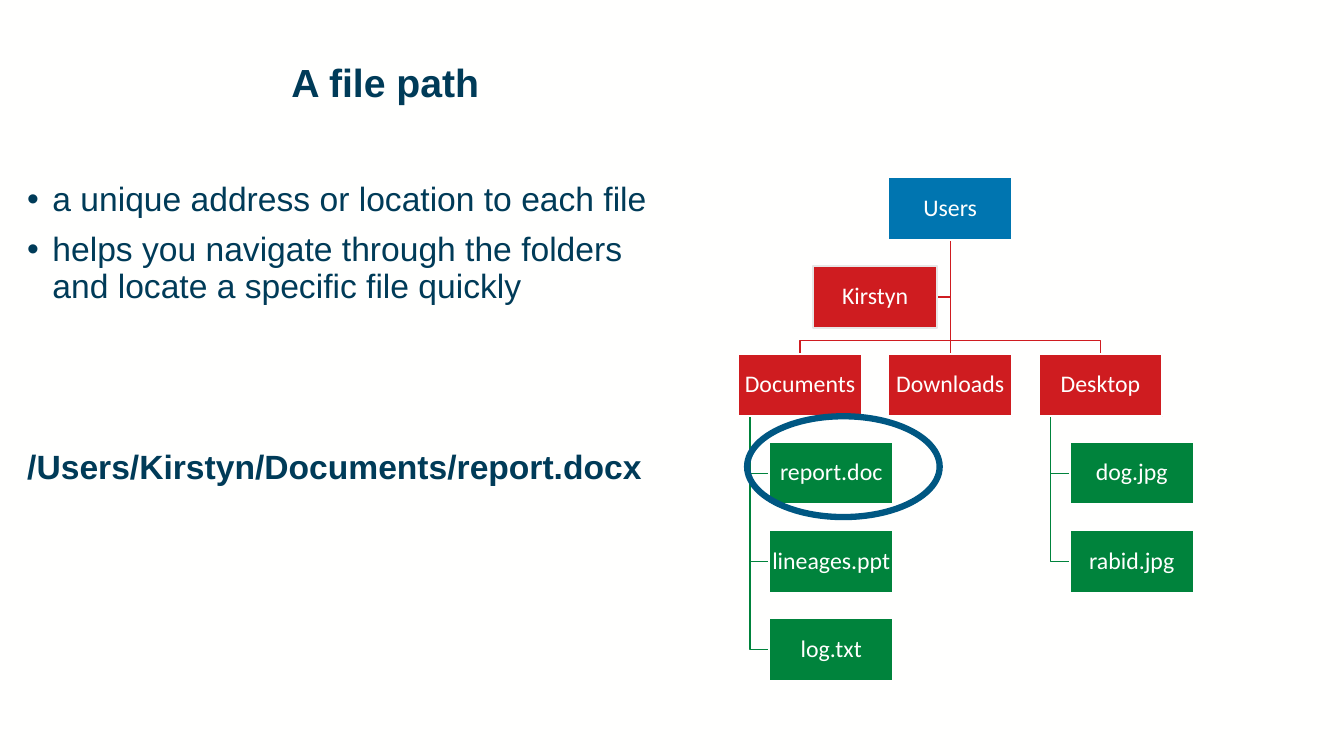
from collections import namedtuple

from lxml.etree import SubElement
from pptx import Presentation
from pptx.dml.color import RGBColor as Rgb
from pptx.enum.shapes import MSO_SHAPE as Shape
from pptx.enum.text import MSO_ANCHOR as Anchor, MSO_AUTO_SIZE as AutoSize, PP_ALIGN as Align
from pptx.oxml.ns import qn
from pptx.util import Inches, Pt

COLOURS = {
    "white": "FFFFFE", "navy": "003B58", "ring": "005782", "edge": "E7E7E7",
    "root": "0075B0", "folder": "CF1C20", "file": "00833C",
}
Box = namedtuple("Box", "left top width height")
COLUMN, ROW = 1.49, 3.5 / 4
NODE_WIDTH, NODE_HEIGHT = 1.23, 0.62
FILE_INDENT, TRUNK, BUS_GAP = 0.31, 0.12, 0.13
FOLDERS = {
    "Documents": ["report.doc", "lineages.ppt", "log.txt"],
    "Downloads": [],
    "Desktop": ["dog.jpg", "rabid.jpg"],
}
POINTS = [
    "a unique address or location to each file",
    "helps you navigate through the folders and locate a specific file quickly",
]
FILE_PATH = "/Users/Kirstyn/Documents/report.docx"


def colour(name):
    return Rgb.from_string(COLOURS[name])


def emu(lengths):
    return [Inches(length) for length in lengths]


def style(para, size, font, shade, bold=False, before=0):
    para.line_spacing = 0.9
    para.space_before = Pt(before)
    for span in para.runs:
        span.font.size = Pt(size)
        span.font.name = font
        span.font.bold = bold
        span.font.color.rgb = colour(shade)


def place(holder, box):
    holder.left, holder.top, holder.width, holder.height = emu(box)
    frame = holder.text_frame
    frame.word_wrap = True
    frame.auto_size = AutoSize.NONE
    frame.vertical_anchor = Anchor.TOP
    return frame


def add_title(page, box):
    frame = place(page.shapes.title, box)
    frame.text = "A file path"
    para = frame.paragraphs[0]
    para.alignment = Align.LEFT
    style(para, 28, "Arial", "navy", bold=True)


def add_body(page, box):
    frame = place(page.placeholders[1], box)
    frame.text = "\n".join([*POINTS, FILE_PATH])
    for para in frame.paragraphs:
        is_path = para.text == FILE_PATH
        style(para, 24, "Arial", "navy", bold=is_path, before=104 if is_path else 10)
        props = para._p.get_or_add_pPr()
        indent = 0 if is_path else Inches(0.25)
        props.set("marL", str(indent))
        props.set("indent", str(-indent))
        if is_path:
            SubElement(props, qn("a:buNone"))
        else:
            SubElement(props, qn("a:buChar")).set("char", "•")


def add_node(page, label, left, top, kind, edge="white"):
    node = page.shapes.add_shape(
        Shape.RECTANGLE, *emu(Box(left, top, NODE_WIDTH, NODE_HEIGHT)))
    node.shadow.inherit = False
    node.fill.solid()
    node.fill.fore_color.rgb = colour(kind)
    node.line.color.rgb = colour(edge)
    node.line.width = Pt(1.5)
    frame = node.text_frame
    frame.margin_left = frame.margin_right = Inches(0.01)
    frame.margin_top = frame.margin_bottom = Inches(0.01)
    frame.vertical_anchor = Anchor.MIDDLE
    frame.word_wrap = True
    frame.text = label
    frame.paragraphs[0].alignment = Align.CENTER
    style(frame.paragraphs[0], 17, "Calibri", "white")


def add_branch(page, kind, start, *corners):
    builder = page.shapes.build_freeform(*emu(start))
    builder.add_line_segments([emu(corner) for corner in corners], close=False)
    branch = builder.convert_to_shape()
    branch.shadow.inherit = False
    branch.fill.background()
    branch.line.color.rgb = colour(kind)
    branch.line.width = Pt(1)


def add_files(page, names, left, top):
    trunk = left + TRUNK
    for step, name in enumerate(names, 1):
        file_top = top + step * ROW
        middle = file_top + NODE_HEIGHT / 2
        add_branch(page, "file", (trunk, top + NODE_HEIGHT),
                   (trunk, middle), (left + FILE_INDENT, middle))
        add_node(page, name, left + FILE_INDENT, file_top, "file")


def add_tree(page, box):
    root_left = box.left + COLUMN
    root_foot = (root_left + NODE_WIDTH / 2, box.top + NODE_HEIGHT)
    user_left, user_top = box.left + COLUMN / 2, box.top + ROW
    user_middle = user_top + NODE_HEIGHT / 2
    folder_top = box.top + 2 * ROW
    bus = folder_top - BUS_GAP

    add_branch(page, "folder", root_foot, (root_foot[0], user_middle),
               (user_left + NODE_WIDTH, user_middle))
    for column, (folder, files) in enumerate(FOLDERS.items()):
        left = box.left + column * COLUMN
        centre = left + NODE_WIDTH / 2
        add_branch(page, "folder", root_foot, (root_foot[0], bus),
                   (centre, bus), (centre, folder_top))
        add_files(page, files, left, folder_top)
        add_node(page, folder, left, folder_top, "folder")
    add_node(page, "Users", root_left, box.top, "root")
    add_node(page, "Kirstyn", user_left, user_top, "folder", edge="edge")


def add_ring(page, box):
    ring = page.shapes.add_shape(Shape.OVAL, *emu(box))
    ring.shadow.inherit = False
    ring.fill.background()
    ring.line.color.rgb = colour("ring")
    ring.line.width = Pt(4.5)


def main():
    deck = Presentation()
    deck.slide_width, deck.slide_height = Inches(13.33), Inches(7.5)
    page = deck.slides.add_slide(deck.slide_layouts[1])
    page.background.fill.solid()
    page.background.fill.fore_color.rgb = colour("white")
    add_body(page, Box(0.17, 1.76, 6.41, 5))
    add_title(page, Box(2.79, 0.58, 10.07, 0.97))
    add_tree(page, Box(7.32, 1.76, 4.52, 5))
    add_ring(page, Box(7.41, 4.13, 1.91, 1))
    deck.save("out.pptx")


if __name__ == "__main__":
    main()
